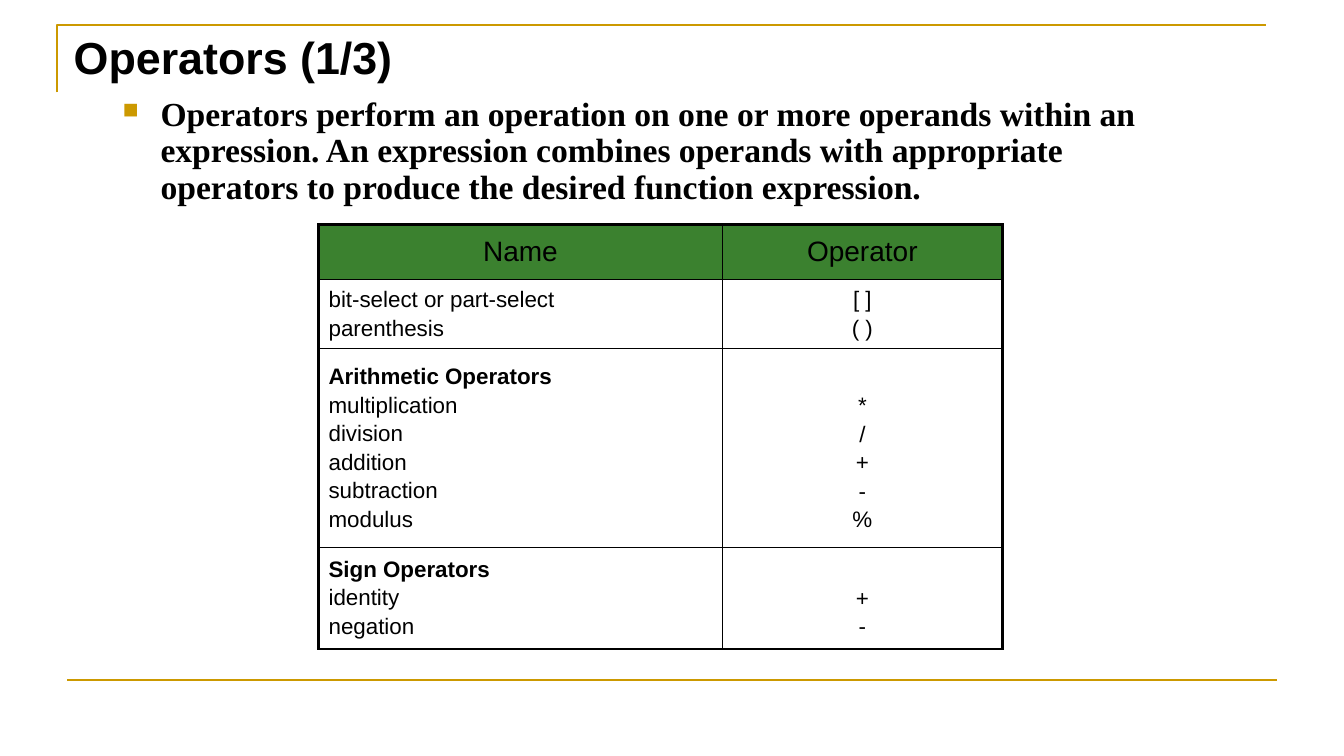
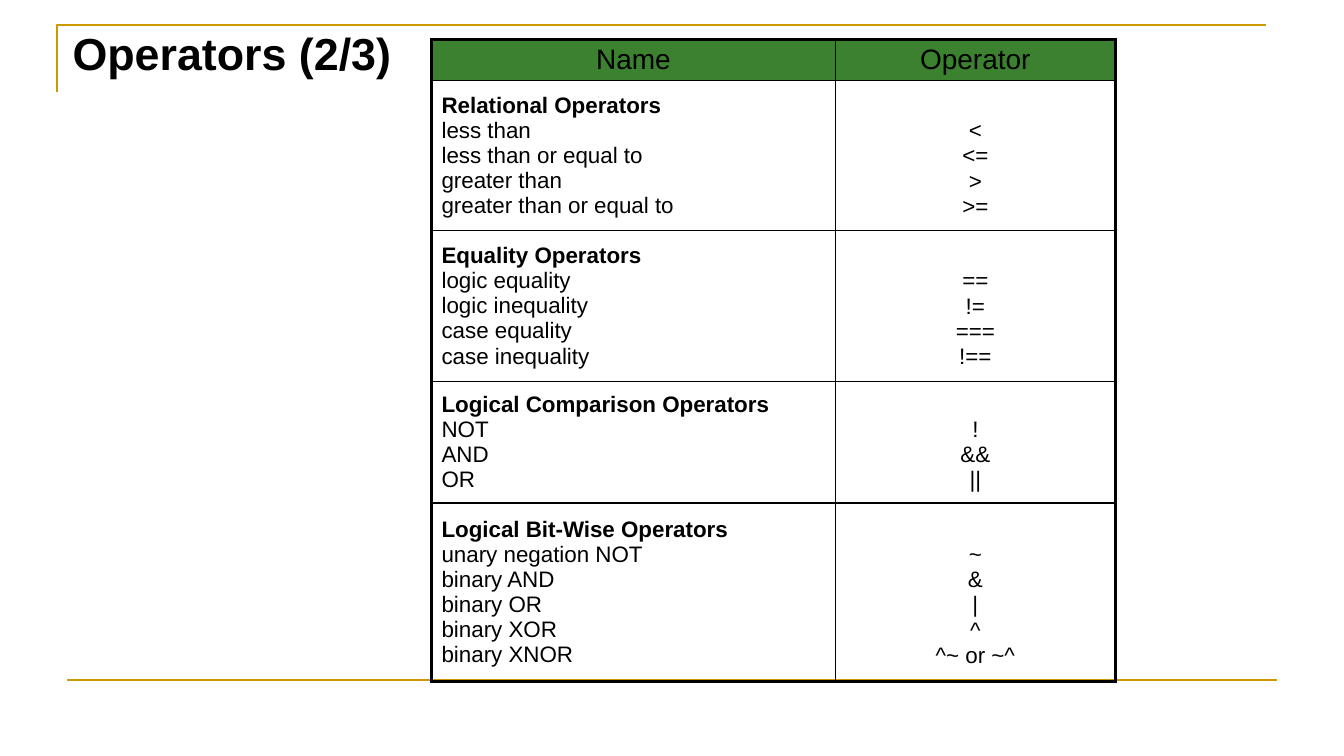
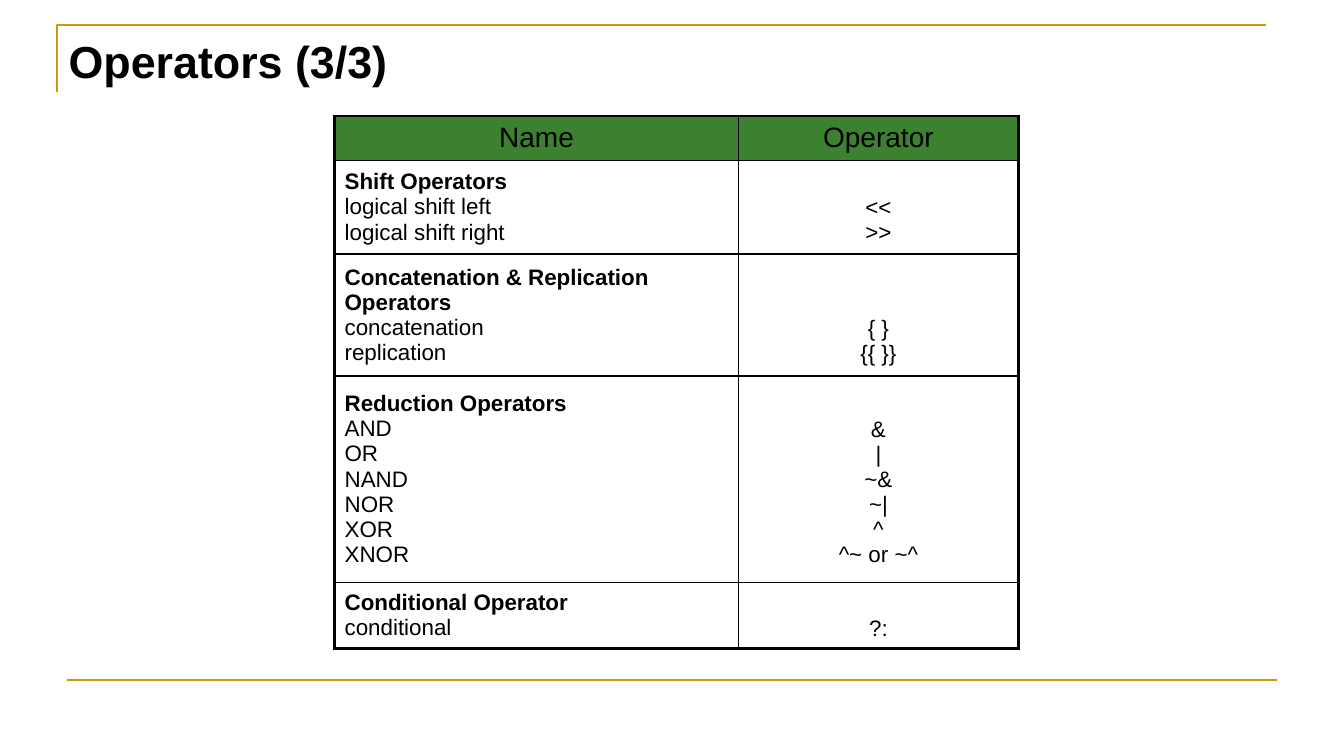
from pptx import Presentation
from pptx.dml.color import RGBColor
from pptx.enum.shapes import MSO_CONNECTOR as Conn
from pptx.enum.text import MSO_ANCHOR as Anchor, PP_ALIGN as Align
from pptx.oxml import parse_xml
from pptx.oxml.ns import nsdecls, qn
from pptx.util import Pt

GOLD, GREEN, BLACK = "CC9900", "3B812F", "000000"
THICK, THIN = 2.25, 1
LINE = 18.4
WIDTHS = 288.5, 200


def hue(code):
    return RGBColor.from_string(code)


def put(frame, lines, size=16, font="Arial", bold=False, head=False,
        align=Align.LEFT, gap=0, lead=1.0):
    frame.word_wrap = True
    for i, line in enumerate(lines):
        para = frame.add_paragraph() if i else frame.paragraphs[0]
        para.alignment = align
        para.space_before = Pt(gap)
        para.line_spacing = lead
        run = para.add_run()
        run.text = line
        run.font.size = Pt(size)
        run.font.name = font
        run.font.bold = bold or (head and i == 0)
        run.font.color.rgb = hue(BLACK)


# Each group: row height, heading, lines the heading takes, name and operator pairs
decks = [
    dict(title="Operators (1/3)", spot=(45.4, 13.7), grid=(227.5, 160.6), top=38.9, gap=2.6, groups=[
        (49.7, "", 0, [("bit-select or part-select", "[ ]"), ("parenthesis", "( )")]),
        (141.8, "Arithmetic Operators", 1, [
            ("multiplication", "*"), ("division", "/"), ("addition", "+"),
            ("subtraction", "-"), ("modulus", "%")]),
        (72.7, "Sign Operators", 1, [("identity", "+"), ("negation", "-")]),
    ]),
    dict(title="Operators (2/3)", spot=(44.6, 11.5), grid=(308.2, 28.1), top=28.8, gap=0.2, groups=[
        (107.3, "Relational Operators", 1, [
            ("less than", "<"), ("less than or equal to", "<="),
            ("greater than", ">"), ("greater than or equal to", ">=")]),
        (107.3, "Equality Operators", 1, [
            ("logic equality", "=="), ("logic inequality", "!="),
            ("case equality", "==="), ("case inequality", "!==")]),
        (87.1, "Logical Comparison Operators", 1, [("NOT", "!"), ("AND", "&&"), ("OR", "||")]),
        (127.4, "Logical Bit-Wise Operators", 1, [
            ("unary negation NOT", "~"), ("binary AND", "&"), ("binary OR", "|"),
            ("binary XOR", "^"), ("binary XNOR", "^~ or ~^")]),
    ]),
    dict(title="Operators (3/3)", spot=(41.8, 16.6), grid=(239, 82.8), top=31.7, gap=0.2, groups=[
        (67, "Shift Operators", 1, [("logical shift left", "<<"), ("logical shift right", ">>")]),
        (87.1, "Concatenation & Replication Operators", 2, [
            ("concatenation", "{ }"), ("replication", "{{ }}")]),
        (147.6, "Reduction Operators", 1, [
            ("AND", "&"), ("OR", "|"), ("NAND", "~&"), ("NOR", "~|"),
            ("XOR", "^"), ("XNOR", "^~ or ~^")]),
        (46.8, "Conditional Operator", 1, [("conditional", "?:")]),
    ]),
]

prs = Presentation()
prs.slide_width, prs.slide_height = Pt(960), Pt(540)
layout = prs.slide_layouts[5]
slides = [prs.slides.add_slide(layout) for deck in decks]

shapes = slides[0].shapes
pen = shapes.build_freeform(Pt(40.5), Pt(66))
pen.add_line_segments([(Pt(40.5), Pt(18)), (Pt(904.5), Pt(18))], close=False)
frame = pen.convert_to_shape()
frame.fill.background()
frame.shadow.inherit = False
foot = shapes.add_connector(Conn.STRAIGHT, Pt(48), Pt(486), Pt(912), Pt(486))
foot.element.spPr.append(parse_xml(f'<a:effectLst {nsdecls("a")}/>'))
for rule in (frame, foot):
    rule.line.color.rgb = hue(GOLD)
    rule.line.width = Pt(1.5)
    foot_tree = prs.slide_master.shapes.element
    foot_tree.append(rule.element)

box = shapes.add_textbox(Pt(80.6), Pt(66.2), Pt(746.6), Pt(119.5))
put(box.text_frame, [
    "Operators perform an operation on one or more operands within an expression. "
    "An expression combines operands with appropriate operators to produce the "
    "desired function expression."],
    size=24, font="Times New Roman", bold=True, gap=4.8, lead=0.9)
props = box.text_frame.paragraphs[0].runs[0].font and box.element.find(".//" + qn("a:pPr"))
props.set("marL", str(Pt(27)))
props.set("indent", str(-Pt(27)))
for mark in (f'<a:buClr {nsdecls("a")}><a:srgbClr val="{GOLD}"/></a:buClr>',
             f'<a:buSzPct {nsdecls("a")} val="65000"/>',
             f'<a:buChar {nsdecls("a")} char="■"/>'):
    props.append(parse_xml(mark))

for slide, deck in zip(slides, decks):
    title = slide.shapes.title
    title.left, title.top = map(Pt, deck["spot"])
    title.width, title.height = Pt(613.5), Pt(60.5)
    title.text_frame.vertical_anchor = Anchor.TOP
    title.text_frame.margin_top = Pt(7.2)
    put(title.text_frame, [deck["title"]], size=32, bold=True)

    groups, gap = deck["groups"], deck["gap"]
    highs = [deck["top"]] + [group[0] for group in groups]
    left, top = deck["grid"]
    holder = slide.shapes.add_table(
        len(highs), 2, Pt(left), Pt(top), Pt(sum(WIDTHS)), Pt(sum(highs)))
    table = holder.table
    table.first_row = table.horz_banding = False
    for col, wide in zip(table.columns, WIDTHS):
        col.width = Pt(wide)
    for row, high in zip(table.rows, highs):
        row.height = Pt(high)
    for cell in table.iter_cells():
        cell.vertical_anchor = Anchor.MIDDLE
        cell.fill.background()

    for col, label in enumerate(("Name", "Operator")):
        cell = table.cell(0, col)
        cell.fill.solid()
        cell.fill.fore_color.rgb = hue(GREEN)
        put(cell.text_frame, [label], size=20, align=Align.CENTER, gap=gap)
    for row, (high, head, skip, pairs) in enumerate(groups, 1):
        names, signs = zip(*pairs)
        lines = [head, *names] if head else names
        put(table.cell(row, 0).text_frame, lines, head=bool(head), gap=gap)
        cell = table.cell(row, 1)
        cell.margin_top = Pt(3.6 + skip * (LINE + gap))
        put(cell.text_frame, signs, align=Align.CENTER, gap=gap)

    for i, props in enumerate(holder.element.iter(qn("a:tcPr"))):
        row, col = divmod(i, 2)
        edges = dict(lnL=col == 0, lnR=col == 1, lnT=row == 0, lnB=row == len(groups))
        for spot, (tag, outer) in enumerate(edges.items()):
            props.insert(spot, parse_xml(
                f'<a:{tag} {nsdecls("a")} w="{Pt(THICK if outer else THIN)}">'
                f'<a:solidFill><a:srgbClr val="{BLACK}"/></a:solidFill></a:{tag}>'))

prs.save("out.pptx")
